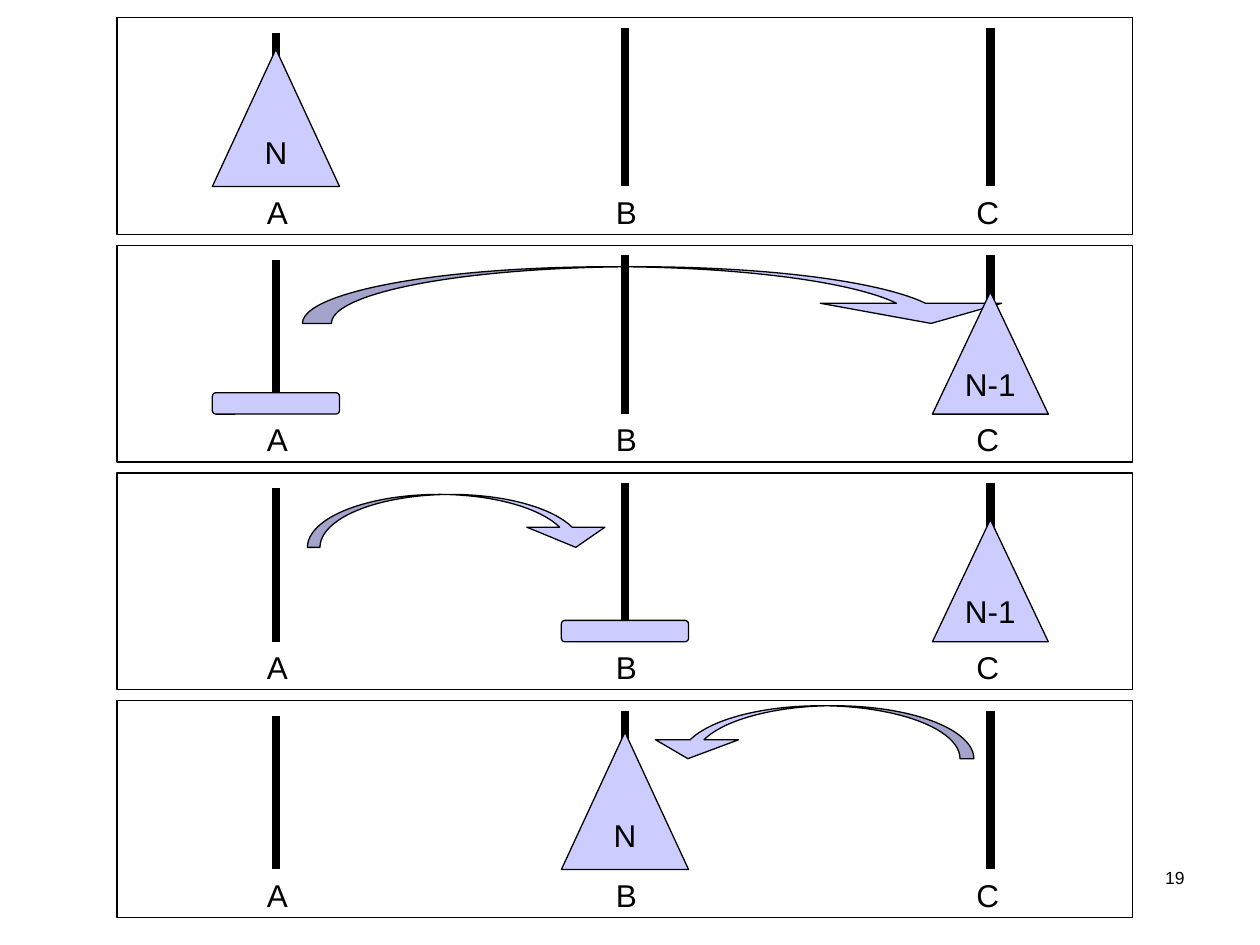
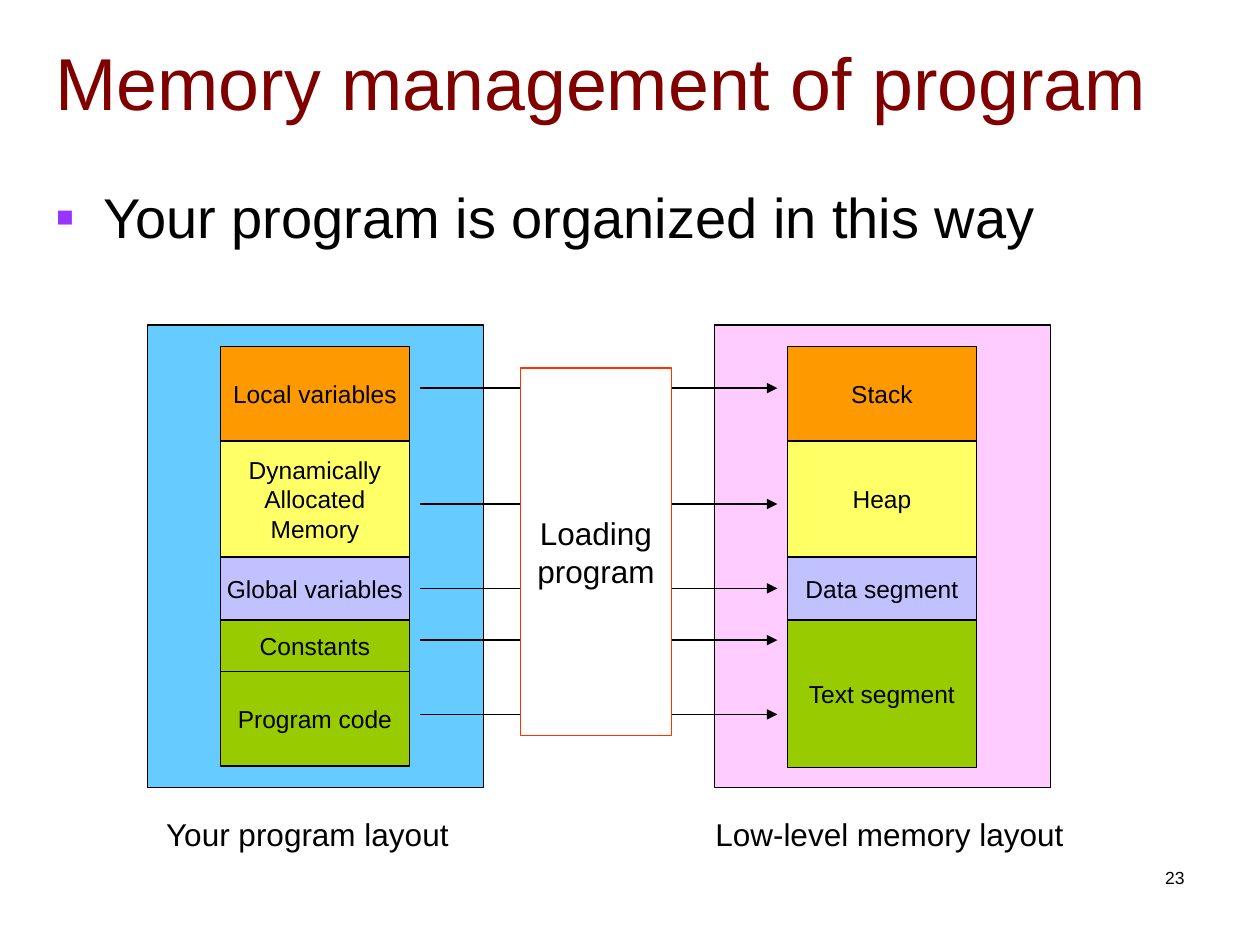
"""Build two slides: the steps of the towers puzzle and a program's memory layout."""
from lxml import etree
from pptx import Presentation
from pptx.dml.color import RGBColor
from pptx.enum import shapes, text
from pptx.oxml.ns import qn
from pptx.util import Inches, Pt

BLACK = RGBColor(0, 0, 0)
WHITE = RGBColor(255, 255, 255)
MAROON = RGBColor(0x80, 0, 0)
LILAC = RGBColor(0xCC, 0xCC, 0xFF)
BLUE = RGBColor(0x66, 0xCC, 0xFF)
PINK = RGBColor(0xFF, 0xCC, 0xFF)
ORANGE = RGBColor(0xFF, 0x99, 0)
YELLOW = RGBColor(0xFF, 0xFF, 0x66)
VIOLET = RGBColor(0xC1, 0xC1, 0xFF)
GREEN = RGBColor(0x99, 0xCC, 0)
RED = RGBColor(0xFF, 0x33, 0)
FONT = "Arial"
KIND = shapes.MSO_SHAPE
LEFT, MID, RIGHT = text.PP_ALIGN.LEFT, text.PP_ALIGN.CENTER, text.PP_ALIGN.RIGHT

# peg name: (x, rise offset from panel top, label left, label width)
PEGS = {"A": (2.19, 0.12, 2.02, 0.36),
        "B": (4.96, 0.08, 4.79, 0.36),
        "C": (7.86, 0.08, 7.65, 0.38)}
PILES = {"N": (1.01, 1.09), "N-1": (0.92, 0.97), "": (1.01, 0.17)}
# move: (left, offset from panel top, width, height, band, head width, head height, flip)
STEPS = [
    {"piles": [("A", "N")]},
    {"piles": [("A", ""), ("C", "N-1")],
     "move": (2.4, 0.17, 5.71, 0.45, 0.23, 1.44, 0.16, False)},
    {"piles": [("B", ""), ("C", "N-1")],
     "move": (2.44, 0.17, 2.44, 0.42, 0.1, 0.62, 0.16, False)},
    {"piles": [("B", "N")],
     "move": (5.13, 0.04, 2.6, 0.42, 0.11, 0.66, 0.15, True)},
]
FIRST, PITCH, FLOOR = 0.14, 1.807, 1.34

TITLE = "Memory management of program"
POINT = "Your program is organized in this way"
LOADER = "Loading\nprogram"
# (left, panel colour, caption, caption left, caption width, cells)
STACKS = [
    (1.17, BLUE, "Your program layout", 1.21, 2.46,
     [("Local variables", 0.75, ORANGE),
      ("Dynamically\nAllocated\nMemory", 0.92, YELLOW),
      ("Global variables", 0.5, VIOLET),
      ("Constants", 0.41, GREEN),
      ("Program code", 0.75, GREEN)]),
    (5.67, PINK, "Low-level memory layout", 5.58, 2.96,
     [("Stack", 0.75, ORANGE),
      ("Heap", 0.92, YELLOW),
      ("Data segment", 0.5, VIOLET),
      ("Text segment", 1.17, GREEN)]),
]
LINKS = [3.08, 4, 4.67, 5.08, 5.67]


def write(frame, words, size=18, color=BLACK, align=LEFT, wrap=False, anchor=None):
    frame.word_wrap = wrap
    frame.auto_size = text.MSO_AUTO_SIZE.NONE
    if anchor is not None:
        frame.vertical_anchor = anchor
    for i, row in enumerate(words.split("\n")):
        para = frame.paragraphs[0] if i == 0 else frame.add_paragraph()
        para.alignment = align
        run = para.add_run()
        run.text = row
        run.font.name, run.font.size, run.font.color.rgb = FONT, Pt(size), color


def label(slide, box, words, **style):
    item = slide.shapes.add_textbox(*map(Inches, box))
    write(item.text_frame, words, **style)
    return item


def block(slide, kind, box, fill=None, line=BLACK, words="", size=18):
    item = slide.shapes.add_shape(kind, *map(Inches, box))
    item.shadow.inherit = False
    if fill is None:
        item.fill.background()
    else:
        item.fill.solid()
        item.fill.fore_color.rgb = fill
    item.line.color.rgb, item.line.width = line, Pt(0.75)
    if words:
        write(item.text_frame, words, size=size, align=MID,
              anchor=text.MSO_ANCHOR.MIDDLE)
    return item


def rule(slide, ends, width, tip=False):
    item = slide.shapes.add_connector(shapes.MSO_CONNECTOR.STRAIGHT, *map(Inches, ends))
    item.line.color.rgb, item.line.width = BLACK, Pt(width)
    if tip:
        etree.SubElement(item.line._get_or_add_ln(), qn("a:tailEnd"), type="triangle")
    etree.SubElement(item._element.spPr, qn("a:effectLst"))


def number(slide, page):
    label(slide, (7.17, 6.83, 2.33, 0.5), page, size=10, align=RIGHT, wrap=True)


def arc(slide, top, move):
    left, drop, wide, high, band, head, tall, flip = move
    item = block(slide, KIND.CURVED_DOWN_ARROW, (left, top + drop, wide, high), LILAC)
    for i, part in enumerate((band, head, tall)):
        item.adjustments[i] = part / high
    if flip:
        item._element.spPr.find(qn("a:xfrm")).set("flipH", "1")


def towers(deck):
    slide = deck.slides.add_slide(deck.slide_layouts[6])
    for i, step in enumerate(STEPS):
        top = FIRST + i * PITCH
        base = top + FLOOR
        block(slide, KIND.RECTANGLE, (0.93, top, 8.06, 1.72))
        if "move" in step:
            arc(slide, top, step["move"])
        for name, (x, rise, left, wide) in PEGS.items():
            rule(slide, (x, top + rise, x, base), 5)
            label(slide, (left, base, wide, 0.4), name)
        for peg, name in step["piles"]:
            wide, high = PILES[name]
            kind = KIND.ISOSCELES_TRIANGLE if name else KIND.ROUNDED_RECTANGLE
            box = (PEGS[peg][0] - wide / 2, base - high, wide, high)
            block(slide, kind, box, LILAC, words=name)
    number(slide, "19")


def memory(deck):
    slide = deck.slides.add_slide(deck.slide_layouts[5])
    head = slide.shapes.title
    head.left, head.top, head.width, head.height = map(Inches, (0.34, 0.14, 9.37, 1.01))
    write(head.text_frame, TITLE, size=42, color=MAROON, wrap=True,
          anchor=text.MSO_ANCHOR.MIDDLE)

    body = label(slide, (0.34, 1.4, 9.37, 0.74), POINT, size=32, wrap=True)
    para = body.text_frame.paragraphs[0]
    para.space_before = Pt(8)
    props = para._p.get_or_add_pPr()
    props.set("marL", str(Inches(0.38)))
    props.set("indent", str(-Inches(0.38)))
    tint = etree.SubElement(props, qn("a:buClr"))
    etree.SubElement(tint, qn("a:srgbClr"), val="9933FF")
    etree.SubElement(props, qn("a:buFont"), typeface=FONT)
    etree.SubElement(props, qn("a:buChar"), char="▪")

    for left, color, words, x, wide, cells in STACKS:
        block(slide, KIND.RECTANGLE, (left, 2.58, 2.67, 3.67), color)
        label(slide, (x, 6.42, wide, 0.4), words, align=MID)
        top = 2.75
        for name, high, fill in cells:
            block(slide, KIND.RECTANGLE, (left + 0.58, top, 1.5, high), fill,
                  words=name, size=14)
            top += high
    for y in LINKS:
        rule(slide, (3.33, y, 6.17, y), 0.75, tip=True)
    block(slide, KIND.RECTANGLE, (4.13, 2.92, 1.2, 2.92), WHITE, RED, LOADER)
    number(slide, "23")


def main():
    deck = Presentation()
    deck.slide_width, deck.slide_height = Inches(10), Inches(7.5)
    towers(deck)
    memory(deck)
    deck.save("out.pptx")


if __name__ == "__main__":
    main()
